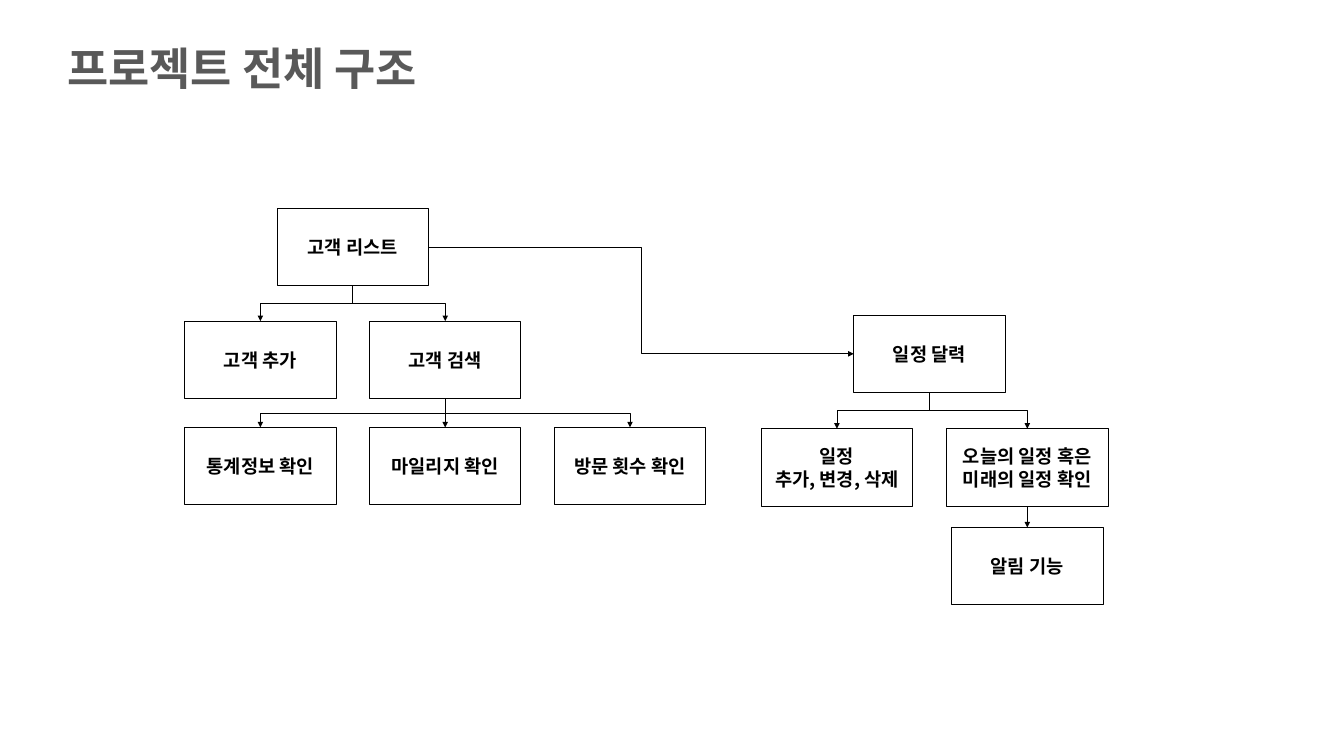
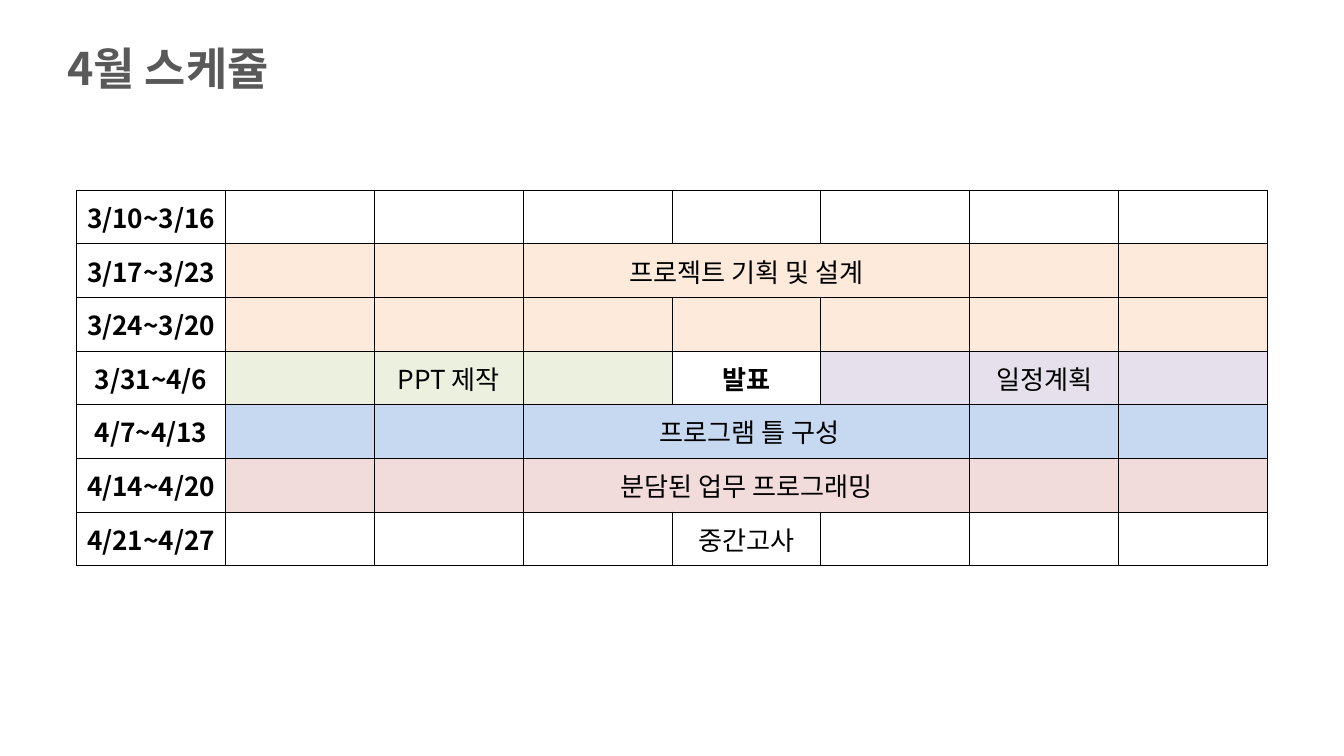
from lxml import etree
from pptx import Presentation
from pptx.dml.color import RGBColor
from pptx.enum.shapes import MSO_CONNECTOR, MSO_SHAPE
from pptx.enum.text import MSO_ANCHOR, MSO_AUTO_SIZE, PP_ALIGN
from pptx.oxml.ns import qn
from pptx.util import Inches, Pt

RECTANGLE = MSO_SHAPE.RECTANGLE
ELBOW, STRAIGHT = MSO_CONNECTOR.ELBOW, MSO_CONNECTOR.STRAIGHT
CENTER, MIDDLE = PP_ALIGN.CENTER, MSO_ANCHOR.MIDDLE
FIT_SHAPE = MSO_AUTO_SIZE.SHAPE_TO_FIT_TEXT
TOP_SITE, BOTTOM_SITE, LEFT_SITE, RIGHT_SITE = 0, 2, 1, 3

# Shared style
FONT = "Noto Sans CJK KR"
BLACK, WHITE, GREY = "000000", "FFFFFF", "595959"
PEACH, GREEN, LILAC, BLUE, ROSE = "FDEADA", "EBF1DE", "E6E0EC", "C6D9F1", "F2DCDB"
BLANK_LAYOUT = 6

# Structure grid: centre of the first column, distance between columns, box size
FIRST_CENTER, COLUMN_STEP = 3.875, 2.75
BOX_WIDTH, BOX_HEIGHT = 2.25, 1.15

# Key: (text lines, column, top, width)
BOXES = {
    "list": (["고객 리스트"], 0.5, 3.1, BOX_WIDTH),
    "add": (["고객 추가"], 0, 4.78, BOX_WIDTH),
    "search": (["고객 검색"], 1, 4.78, BOX_WIDTH),
    "statistics": (["통계정보 확인"], 0, 6.36, BOX_WIDTH),
    "mileage": (["마일리지 확인"], 1, 6.36, BOX_WIDTH),
    "visits": (["방문 횟수 확인"], 2, 6.36, BOX_WIDTH),
    "calendar": (["일정 달력"], 3.62, 4.69, BOX_WIDTH),
    "edit": (["일정", "추가, 변경, 삭제"], 3.12, 6.38, BOX_WIDTH),
    "upcoming": (["오늘의 일정 혹은 미래의 일정 확인"], 4.15, 6.38, 2.42),
    "alarm": (["알림 기능"], 4.15, 7.85, BOX_WIDTH),
}
BRANCHES = {
    "list": ["add", "search"],
    "search": ["statistics", "mileage", "visits"],
    "calendar": ["edit", "upcoming"],
    "upcoming": ["alarm"],
}

# Week, colours of the seven days, {day: (text, days covered, bold)}
WEEKS = [
    ("3/10~3/16", [WHITE] * 7, {}),
    ("3/17~3/23", [PEACH] * 7, {3: ("프로젝트 기획 및 설계", 3, False)}),
    ("3/24~3/20", [PEACH] * 7, {}),
    ("3/31~4/6", [GREEN] * 3 + [WHITE] + [LILAC] * 3,
     {2: ("PPT 제작", 1, False), 4: ("발표", 1, True), 6: ("일정계획", 1, False)}),
    ("4/7~4/13", [BLUE] * 7, {3: (" 프로그램 틀 구성", 3, False)}),
    ("4/14~4/20", [ROSE] * 7, {3: ("분담된 업무 프로그래밍", 3, False)}),
    ("4/21~4/27", [WHITE] * 7, {4: ("중간고사", 1, False)}),
]


def color(value):
    return RGBColor.from_string(value)


def add_span(para, text, size, bold=True, ink=BLACK):
    span = para.add_run()
    span.text = text
    font = span.font
    font.size, font.bold, font.name = Pt(size), bold, FONT
    font.color.rgb = color(ink)
    etree.SubElement(font._element, qn("a:ea"), typeface=FONT)


def add_page(deck, title):
    page = deck.slides.add_slide(deck.slide_layouts[BLANK_LAYOUT])
    box = page.shapes.add_textbox(Inches(0.9), Inches(0.56), Inches(6.06), Inches(0.91))
    box.text_frame.word_wrap = False
    box.text_frame.auto_size = FIT_SHAPE
    add_span(box.text_frame.paragraphs[0], title, 48, ink=GREY)
    return page


def add_box(page, lines, column, top, width):
    left = FIRST_CENTER + column * COLUMN_STEP - width / 2
    box = page.shapes.add_shape(
        RECTANGLE, Inches(left), Inches(top), Inches(width), Inches(BOX_HEIGHT))
    box.shadow.inherit = False
    box.fill.solid()
    box.fill.fore_color.rgb = color(WHITE)
    box.line.color.rgb = color(BLACK)
    box.line.width = Pt(0.75)
    frame = box.text_frame
    frame.word_wrap, frame.vertical_anchor = True, MIDDLE
    for index, line in enumerate(lines):
        para = frame.add_paragraph() if index else frame.paragraphs[0]
        para.alignment = CENTER
        add_span(para, line, 20)


def add_arrow(page, kind, start, start_site, end, end_site):
    arrow = page.shapes.add_connector(kind, 0, 0, 0, 0)
    arrow.begin_connect(start, start_site)
    arrow.end_connect(end, end_site)
    arrow.line.color.rgb = color(BLACK)
    arrow.line.width = Pt(0.75)
    etree.SubElement(arrow.line._get_or_add_ln(), qn("a:tailEnd"), type="triangle")
    etree.SubElement(arrow._element.spPr, qn("a:effectLst"))
    return arrow


def add_branch(page, parent, child):
    """Arrow down from a parent; an elbow is turned so that it leaves vertically."""
    shift = child.left + child.width // 2 - parent.left - parent.width // 2
    straight = abs(shift) < Inches(0.02)
    arrow = add_arrow(page, STRAIGHT if straight else ELBOW,
                      parent, BOTTOM_SITE, child, TOP_SITE)
    if straight:
        return
    drop, reach = arrow.height, arrow.width
    middle_x = arrow.left + reach // 2
    middle_y = arrow.top + drop // 2
    arrow.left, arrow.top = middle_x - drop // 2, middle_y - reach // 2
    arrow.width, arrow.height = drop, reach
    frame = arrow._element.spPr.find(qn("a:xfrm"))
    frame.set("rot", "16200000" if shift > 0 else "5400000")
    frame.set("flipH", "1" if shift > 0 else "0")


def add_structure(page):
    shapes = {}
    for key, settings in BOXES.items():
        add_box(page, *settings)
        shapes[key] = page.shapes[-1]
    for parent, children in BRANCHES.items():
        for child in children:
            add_branch(page, shapes[parent], shapes[child])
    add_arrow(page, ELBOW, shapes["list"], RIGHT_SITE, shapes["calendar"], LEFT_SITE)


def add_borders(cell):
    properties = cell._tc.get_or_add_tcPr()
    for side in ("lnL", "lnR", "lnT", "lnB"):
        line = etree.SubElement(properties, qn("a:" + side), w=str(Pt(1)))
        fill = etree.SubElement(line, qn("a:solidFill"))
        etree.SubElement(fill, qn("a:srgbClr"), val=BLACK)


def write_cell(cell, text, bold):
    cell.vertical_anchor = MIDDLE
    para = cell.text_frame.paragraphs[0]
    para.alignment = CENTER
    add_span(para, text, 28, bold)


def add_schedule(page):
    table = page.shapes.add_table(
        len(WEEKS), 8, Inches(1.14), Inches(2.83), Inches(17.72), Inches(5.59)).table
    table.first_row = table.horz_banding = False
    for row, (week, fills, entries) in enumerate(WEEKS):
        for column, fill in enumerate([WHITE] + fills):
            cell = table.cell(row, column)
            add_borders(cell)
            cell.fill.solid()
            cell.fill.fore_color.rgb = color(fill)
        write_cell(table.cell(row, 0), week, True)
        for day, (text, days, bold) in entries.items():
            cell = table.cell(row, day)
            if days > 1:
                cell.merge(table.cell(row, day + days - 1))
            write_cell(cell, text, bold)


def main():
    deck = Presentation()
    deck.slide_width, deck.slide_height = Inches(20), Inches(11.25)
    add_structure(add_page(deck, "프로젝트 전체 구조"))
    add_schedule(add_page(deck, "4월 스케쥴"))
    deck.save("out.pptx")


if __name__ == "__main__":
    main()
